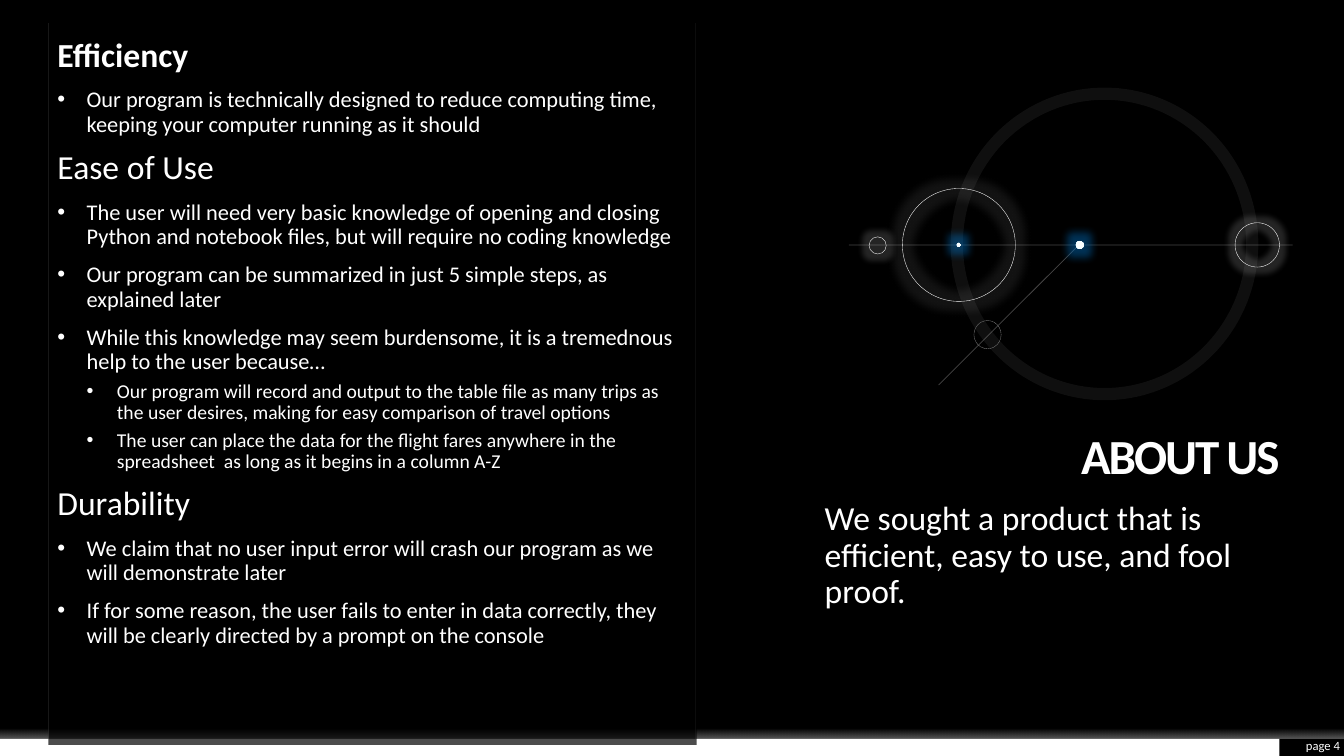
from lxml import etree
from pptx import Presentation
from pptx.dml.color import RGBColor
from pptx.enum.dml import MSO_LINE_DASH_STYLE as Dash
from pptx.enum.shapes import MSO_CONNECTOR as Connector, MSO_SHAPE as Preset
from pptx.enum.text import MSO_ANCHOR as Anchor, MSO_AUTO_SIZE as AutoSize, PP_ALIGN as Align
from pptx.oxml import parse_xml
from pptx.oxml.ns import nsdecls, qn
from pptx.util import Inches, Pt

COLORS = {
    "black": "000000",
    "white": "FFFFFF",
    "divider": "F2F2F2",
    "axis": "E7E6E6",
    "gray": "808080",
    "ice": "F7FFFF",
    "sky": "C1E4FF",
    "blue": "0070C0",
}
RGB = {name: RGBColor.from_string(value) for name, value in COLORS.items()}


def fade(shape, *opacities):
    colors = shape.element.spPr.iter(qn("a:srgbClr"))
    for color, opacity in zip(colors, opacities):
        etree.SubElement(color, qn("a:alpha"), val=str(opacity * 1000))


def write(frame, paragraphs, align=Align.LEFT, anchor=Anchor.TOP, spacing=0.9):
    frame_format = {
        "word_wrap": True, "auto_size": AutoSize.NONE, "vertical_anchor": anchor,
        "margin_left": 0, "margin_right": 0, "margin_top": 0, "margin_bottom": 0,
    }
    for name, value in frame_format.items():
        setattr(frame, name, value)
    for index, (text, size, bold, level) in enumerate(paragraphs):
        paragraph = frame.add_paragraph() if index else frame.paragraphs[0]
        if level:
            properties = paragraph._p.get_or_add_pPr()
            properties.set("marL", str(Inches(0.29 if level == 1 else 0.59)))
            properties.set("indent", str(Inches(-0.29 if level == 1 else -0.3)))
            etree.SubElement(properties, qn("a:buFont"), typeface="Arial")
            etree.SubElement(properties, qn("a:buChar"), char="•")
        before = Pt(5 if level == 2 else 10) if index else Pt(0)
        paragraph_format = {"alignment": align, "line_spacing": spacing,
                            "space_before": before, "level": max(level - 1, 0)}
        for name, value in paragraph_format.items():
            setattr(paragraph, name, value)
        run = paragraph.add_run()
        run.text = text
        for name, value in {"name": "Calibri", "size": Pt(size), "bold": bold}.items():
            setattr(run.font, name, value)
        run.font.color.rgb = RGB["white"]


deck = Presentation()
deck.slide_width, deck.slide_height = Inches(13.33), Inches(7.5)
slide = deck.slides.add_slide(deck.slide_layouts[5])
slide.background.fill.solid()
slide.background.fill.fore_color.rgb = RGB["black"]
shapes = slide.shapes

footer_areas = [
    ((0, 7.33, 12.69, 0.17), "white", [100]),
    ((0, 7.16, 13.33, 0.17), None, [0, 35]),
    ((0.48, 4.26, 6.43, 3.13), "black", [70]),
]
for area, color, opacities in footer_areas:
    block = shapes.add_shape(Preset.RECTANGLE, *map(Inches, area))
    block.shadow.inherit = False
    block.line.fill.background()
    if color:
        block.fill.solid()
        block.fill.fore_color.rgb = RGB[color]
    else:
        block.fill.gradient()
        block.fill.gradient_angle = 270
        for stop, position in zip(block.fill.gradient_stops, (0.4, 1)):
            stop.position = position
            stop.color.rgb = RGB["white"]
    fade(block, *opacities)

rules = [
    (6.9, 0.23, 6.9, 7.33, "divider", 0.25, 15),
    (0.48, 0.23, 0.48, 7.33, "divider", 0.25, 15),
    (8.42, 2.43, 12.82, 2.43, "axis", 0.5, 30),
    (9.31, 3.82, 10.7, 2.43, "axis", 0.5, 30),
]
for *ends, color, width, opacity in rules:
    rule = shapes.add_connector(Connector.STRAIGHT, *map(Inches, ends))
    rule.line.width = Pt(width)
    rule.line.color.rgb = RGB[color]
    fade(rule, opacity)
    etree.SubElement(rule.element.spPr, qn("a:effectLst"))

dot_stops = "".join(
    f'<a:gs pos="{position * 1000}"><a:srgbClr val="{COLORS[color]}"/></a:gs>'
    for position, color in [(0, "white"), (65, "ice"), (70, "sky")]
)
dot_fill = (
    f'<a:gradFill {nsdecls("a")}><a:gsLst>{dot_stops}</a:gsLst><a:path path="circle">'
    '<a:fillToRect l="50000" t="50000" r="50000" b="50000"/></a:path></a:gradFill>'
)
orbits = [
    ((9.49, 0.93, 2.93, 2.98), "white", 8.75, 6, None),
    ((8.95, 1.87, 1.12, 1.12), "white", 0.25, 100, ("white", 0.18, 8)),
    ((12.25, 2.21, 0.44, 0.44), "white", 0.25, 100, ("white", 0.12, 15)),
    ((9.66, 3.18, 0.27, 0.28), "gray", 0.25, 100, None),
    ((8.62, 2.35, 0.17, 0.17), "white", 0.25, 100, ("white", 0.12, 15)),
    ((10.67, 2.39, 0.08, 0.08), None, 0, 100, ("blue", 0.16, 45)),
    ((9.49, 2.41, 0.04, 0.04), None, 0, 100, ("blue", 0.16, 45)),
]
for area, color, width, opacity, glow in orbits:
    orbit = shapes.add_shape(Preset.OVAL, *map(Inches, area))
    orbit.shadow.inherit = False
    if color:
        orbit.fill.background()
        orbit.line.width = Pt(width)
        orbit.line.color.rgb = RGB[color]
        if color == "gray":
            orbit.line.dash_style = Dash.SQUARE_DOT
        fade(orbit, opacity)
    else:
        orbit.line.fill.background()
        orbit.element.spPr.find(qn("a:prstGeom")).addnext(parse_xml(dot_fill))
    if glow:
        glow_color, radius, strength = glow
        effects = orbit.element.spPr.find(qn("a:effectLst"))
        halo = etree.SubElement(effects, qn("a:glow"), rad=str(Inches(radius)))
        tint = etree.SubElement(halo, qn("a:srgbClr"), val=COLORS[glow_color])
        etree.SubElement(tint, qn("a:alpha"), val=str(strength * 1000))

title = shapes.title
title_area = {"left": 7.13, "top": 4.02, "width": 5.56, "height": 0.79}
for name, value in title_area.items():
    setattr(title, name, Inches(value))
write(title.text_frame, [("ABOUT US", 35, True, 0)], Align.RIGHT, Anchor.BOTTOM)
title.text_frame.paragraphs[0].runs[0].font._element.set("spc", "-150")

benefits = [
    ("Efficiency", 24, True, 0),
    ("Our program is technically designed to reduce computing time, keeping your "
     "computer running as it should", 16, False, 1),
    ("Ease of Use", 24, False, 0),
    ("The user will need very basic knowledge of opening and closing Python and "
     "notebook files, but will require no coding knowledge", 16, False, 1),
    ("Our program can be summarized in just 5 simple steps, as explained later",
     16, False, 1),
    ("While this knowledge may seem burdensome, it is a tremednous help to the user "
     "because…", 16, False, 1),
    ("Our program will record and output to the table file as many trips as the user "
     "desires, making for easy comparison of travel options", 14, False, 2),
    ("The user can place the data for the flight fares anywhere in the spreadsheet  "
     "as long as it begins in a column A-Z", 14, False, 2),
    ("Durability", 24, False, 0),
    ("We claim that no user input error will crash our program as we will demonstrate "
     "later", 16, False, 1),
    ("If for some reason, the user fails to enter in data correctly, they will be "
     "clearly directed by a prompt on the console", 16, False, 1),
]
benefits_box = shapes.add_textbox(*map(Inches, (0.57, 0.38, 6.13, 6.93)))
write(benefits_box.text_frame, benefits)

goal = "We sought a product that is efficient, easy to use, and fool proof."
goal_box = shapes.add_textbox(*map(Inches, (8.18, 4.98, 4.51, 1.97)))
write(goal_box.text_frame, [(goal, 24, False, 0)])

page_box = shapes.add_textbox(*map(Inches, (12.69, 7.31, 0.6, 0.17)))
write(page_box.text_frame, [("page 4", 9, False, 0)], Align.RIGHT, Anchor.MIDDLE, 1.0)

deck.save("out.pptx")
